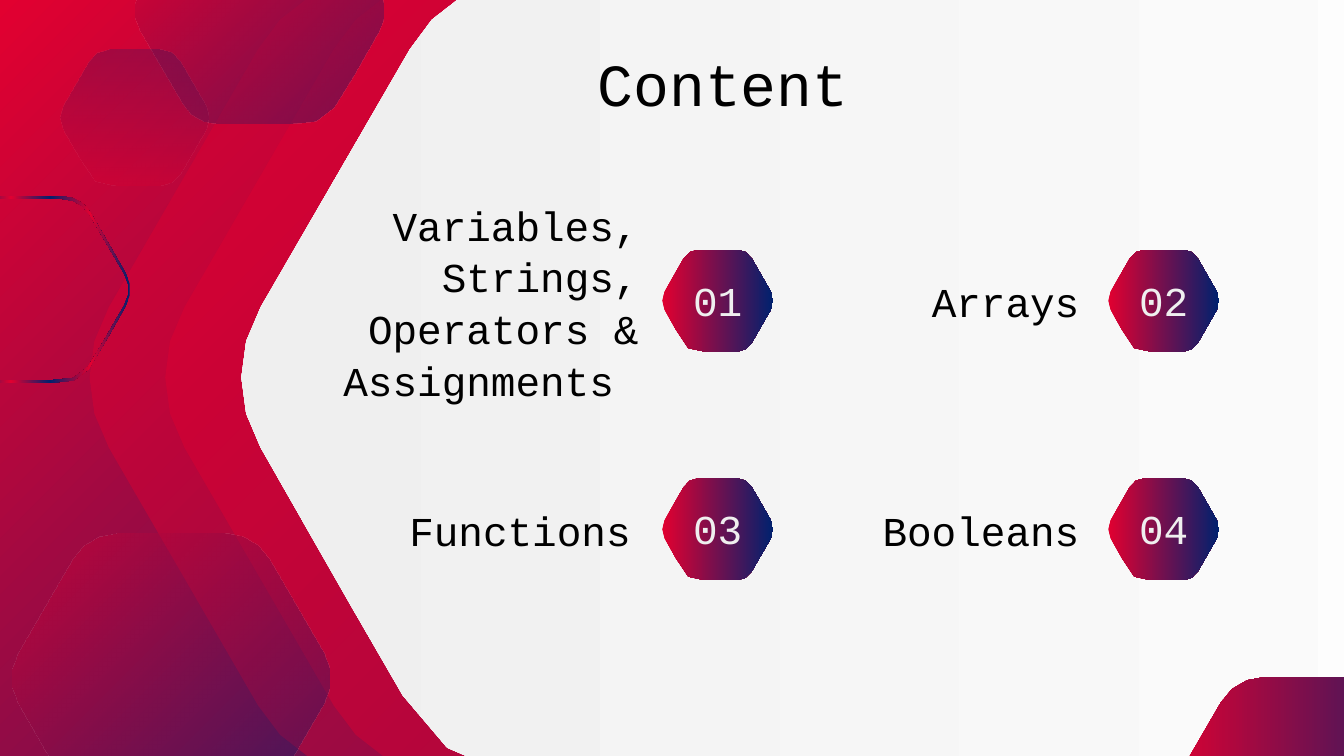
from dataclasses import dataclass

from lxml import etree
from pptx import Presentation
from pptx import util as u
from pptx.dml import color
from pptx.enum import text
from pptx.oxml import ns


@dataclass(frozen=True)
class Theme:
    red: str = "E20030"
    navy: str = "00216E"
    white: str = "FFFFFF"
    mist: str = "EFEFEF"
    ink: str = "000000"
    font: str = "Courier New"
    heading: int = 32
    body: int = 22


theme = Theme()

CORNERS = [
    [(33.3, 0), (27.7, 0), (22.4, 3.4), (19.7, 8.9)],
    [(2.9, 41.2), (0, 46.6), (0, 53.4), (2.9, 58.8)],
    [(12.9, 78.3), (22.5, 97.6), (23.8, 100), (39.3, 100)],
    [(66.7, 100), (72.3, 100), (77.6, 96.5), (80.3, 91.1)],
    [(97.1, 58.8), (100, 53.4), (100, 46.6), (97.1, 41.2)],
    [(80.3, 8.9), (77.6, 3.4), (72.3, 0), (66.7, 0)],
]


def hexagon_outline(left, top, width, height, mirrored=False, stretch=0):
    steps = 2 + (width > 3) + (width > 10)
    points = []
    for corner in CORNERS:
        for step in range(steps + 1):
            t = step / steps
            weights = ((1 - t) ** 3, 3 * t * (1 - t) ** 2, 3 * t * t * (1 - t), t ** 3)
            x = sum(w * p[0] for w, p in zip(weights, corner))
            y = sum(w * p[1] for w, p in zip(weights, corner))
            across = (100 - x if mirrored else x) / 100 * width
            if x > 50:
                across += stretch
            points.append((u.Cm(left + across), u.Cm(top + y / 100 * height)))
    return points


def paint(fill, element, stops, angle):
    if len(stops) == 1:
        fill.solid()
        fill.fore_color.rgb = color.RGBColor.from_string(stops[0][1])
        paints = [element.find(".//" + ns.qn("a:srgbClr"))]
    else:
        fill.gradient()
        gradient = element.find(".//" + ns.qn("a:gradFill"))
        gradient.find(ns.qn("a:lin")).set("ang", str(angle * 60000))
        stop_list = gradient.find(ns.qn("a:gsLst"))
        for old_stop in list(stop_list):
            stop_list.remove(old_stop)
        paints = []
        for position, rgb, _ in stops:
            stop = etree.SubElement(stop_list, ns.qn("a:gs"), pos=str(position * 1000))
            paints.append(etree.SubElement(stop, ns.qn("a:srgbClr"), val=rgb))
    for paint_color, (_, _, opacity) in zip(paints, stops):
        if opacity < 100:
            etree.SubElement(paint_color, ns.qn("a:alpha"), val=str(opacity * 1000))


deck = Presentation()
deck.slide_width, deck.slide_height = u.Cm(25.4), u.Cm(14.29)
slide = deck.slides.add_slide(deck.slide_layouts[5])

red_to_navy = [(0, theme.red, 100), (100, theme.navy, 100)]
paint(slide.background.fill, slide.element, red_to_navy, 45)

band = [(0, theme.red, 41)]
panel = [(0, theme.white, 100), (100, theme.mist, 100)]
upper_glow = [(0, theme.red, 41), (100, theme.navy, 40)]
lower_glow = [(0, theme.red, 43), (100, theme.navy, 40)]
small_glow = [(0, theme.navy, 22), (100, theme.red, 23)]
ring_stops = [
    (position, (theme.navy, theme.red)[i % 2], 100)
    for i, position in enumerate((0, 19, 39, 58, 78, 100))
]

badges = [(x, y) for y in (4.72, 9.04) for x in (12.5, 20.93)]

hexagons = [
    ([hexagon_outline(1.57, -0.41, 16.79, 15.09, True)], band, 0),
    ([hexagon_outline(3, -0.41, 16.79, 15.09, True)], band, 0),
    ([hexagon_outline(4.44, -0.41, 16.79, 15.09, stretch=10.59)], panel, 180),
    ([hexagon_outline(2.51, -1.93, 4.78, 4.27, True)], upper_glow, 45),
    ([hexagon_outline(0.18, 10.08, 6.1, 5.46)], lower_glow, 45),
    ([hexagon_outline(1.12, 0.94, 2.84, 2.57)], small_glow, 90),
    ([hexagon_outline(-1.45, 3.71, 3.94, 3.53, True),
      hexagon_outline(-1.4, 3.76, 3.86, 3.43, True)[::-1]], ring_stops, 180),
    ([hexagon_outline(21.87, 12.8, 6.1, 5.46)], red_to_navy, 0),
]
for x, y in badges:
    hexagons.append(([hexagon_outline(x, y, 2.13, 1.93)], red_to_navy, 0))

for outlines, stops, angle in hexagons:
    builder = slide.shapes.build_freeform(*outlines[0][0])
    builder.add_line_segments(outlines[0][1:], close=True)
    for hole in outlines[1:]:
        builder.move_to(*hole[0])
        builder.add_line_segments(hole[1:], close=True)
    hexagon = builder.convert_to_shape()
    hexagon.shadow.inherit = False
    hexagon.line.fill.background()
    paint(hexagon.fill, hexagon.element.spPr, stops, angle)

title = slide.shapes.title
title.element.getparent().append(title.element)

right, center = text.PP_ALIGN.RIGHT, text.PP_ALIGN.CENTER
captions = [(title, (10.85, 0.81, 5.44, 1.5), ["Content"], theme.heading, theme.ink, right, 1)]
for number, (x, y) in enumerate(badges, 1):
    captions.append((None, (x + 0.15, y + 0.41, 1.83, 1.07), [f"{number:02}"],
                     theme.body, theme.mist, center, 1))
topics = [
    ((6.99, 9.47, 5.18, 1.07), ["Functions"]),
    ((15.47, 9.47, 5.18, 1.07), ["Booleans"]),
    ((5.79, 3.86, 6.53, 3.66), ["Variables,", "Strings, Operators & Assignments "]),
    ((15.47, 5.13, 5.18, 1.07), ["Arrays"]),
]
for frame, lines in topics:
    captions.append((None, frame, lines, theme.body, theme.ink, right, 1.05))

for holder, frame, lines, size, rgb, alignment, spacing in captions:
    left, top, width, height = (u.Cm(length) for length in frame)
    caption = holder or slide.shapes.add_textbox(left, top, width, height)
    caption.left, caption.top, caption.width, caption.height = left, top, width, height
    words = caption.text_frame
    words.word_wrap = True
    words.auto_size = text.MSO_AUTO_SIZE.NONE
    words.vertical_anchor = text.MSO_ANCHOR.MIDDLE
    words.margin_left = words.margin_right = u.Cm(0.25)
    words.margin_top = words.margin_bottom = u.Cm(0.25)
    for i, line in enumerate(lines):
        paragraph = words.add_paragraph() if i else words.paragraphs[0]
        paragraph.alignment = alignment
        paragraph.line_spacing = spacing
        run = paragraph.add_run()
        run.text = line
        run.font.name = theme.font
        run.font.size = u.Pt(size)
        run.font.color.rgb = color.RGBColor.from_string(rgb)

deck.save("out.pptx")
